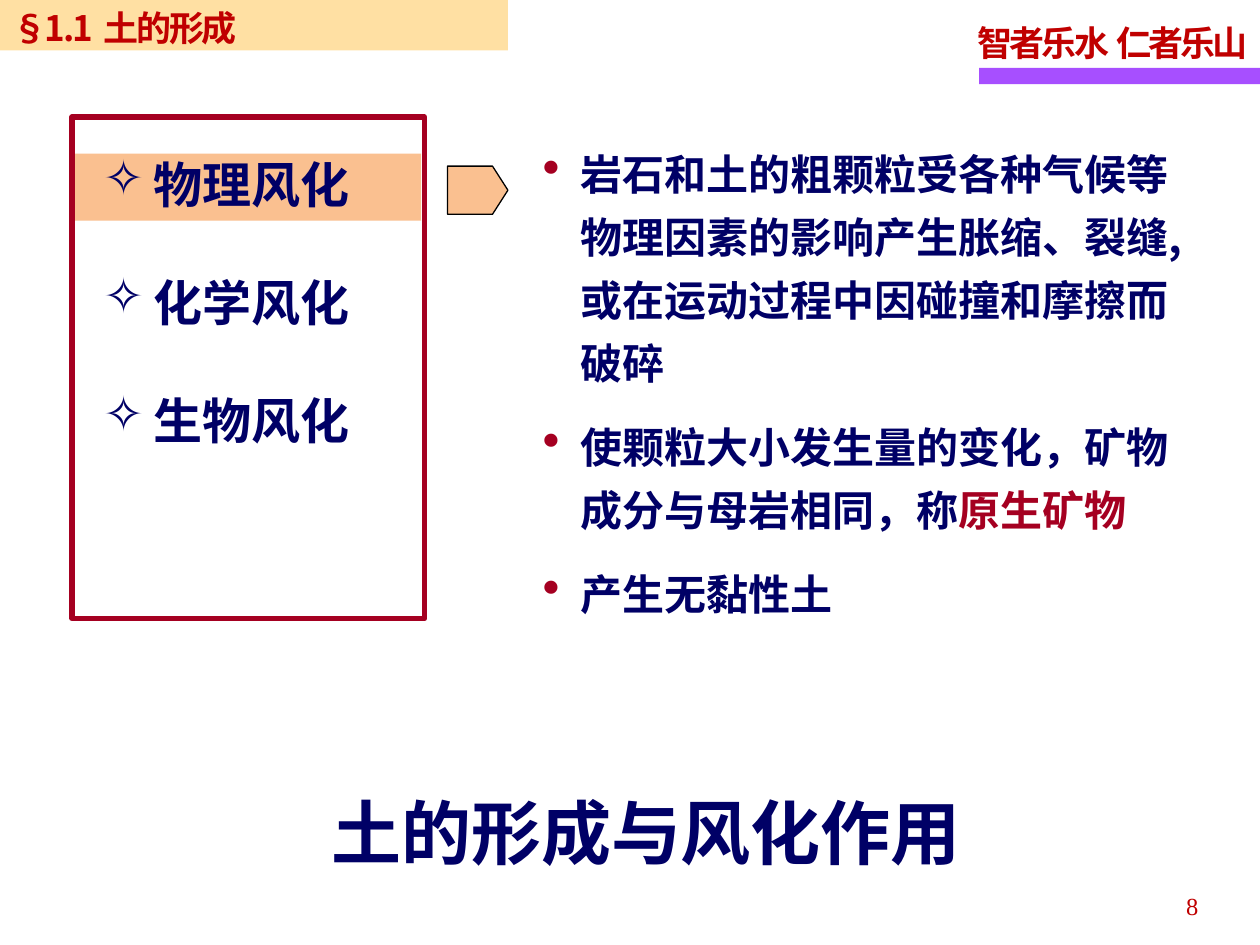
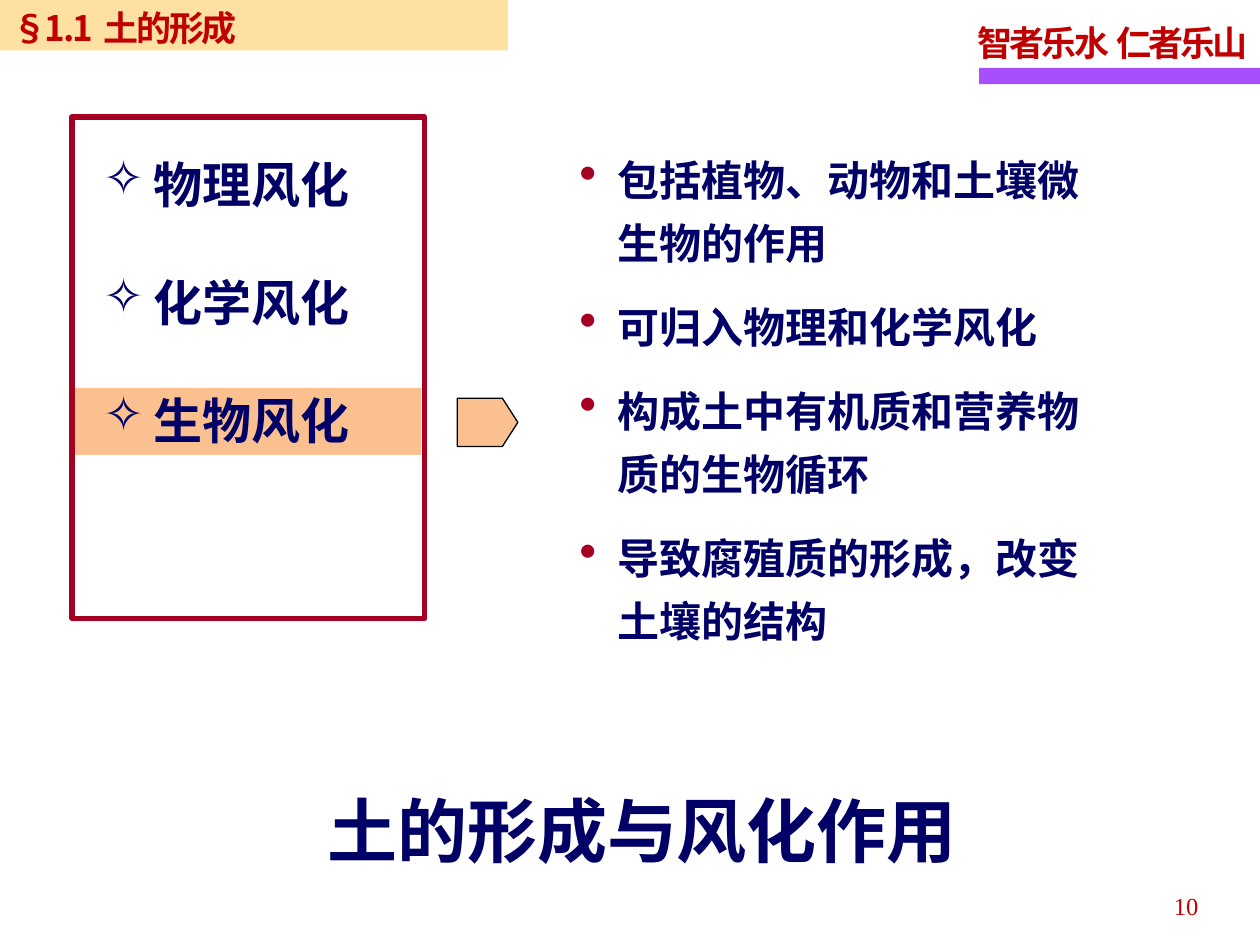
from lxml.etree import SubElement
from pptx import Presentation
from pptx.dml.color import RGBColor
from pptx.enum.shapes import MSO_SHAPE as Preset
from pptx.enum.text import MSO_ANCHOR as Anchor, PP_ALIGN as Align
from pptx.oxml.ns import qn
from pptx.util import Cm, Pt

COLORS = {
    "navy": "000066",
    "crimson": "A50021",
    "red": "C00000",
    "purple": "A74FFF",
    "peach": "FAC090",
    "amber": "FFCC66",
    "black": "000000",
}
SANS = "Noto Sans CJK SC"
SERIF = "Times New Roman"
MENU = ["物理风化", "化学风化", "生物风化"]
MENU_PITCH = 2.36
EMPHASIS = "原生矿物"


def rgb(name):
    return RGBColor.from_string(COLORS[name])


def add_block(slide, box, fill=None, line=None, width=0.75, preset=Preset.RECTANGLE):
    shape = slide.shapes.add_shape(preset, *map(Cm, box))
    shape.shadow.inherit = False
    if fill:
        shape.fill.solid()
        shape.fill.fore_color.rgb = rgb(fill)
    else:
        shape.fill.background()
    if line:
        shape.line.color.rgb = rgb(line)
        shape.line.width = Pt(width)
    else:
        shape.line.fill.background()
    return shape


def add_text_frame(slide, box, wrap=True):
    frame = slide.shapes.add_textbox(*map(Cm, box)).text_frame
    frame.word_wrap = wrap
    return frame


def style(paragraph, size, color, name=SANS, bold=True, tracking=0, leading=None):
    paragraph.line_spacing = leading
    font = paragraph.font
    font.size = Pt(size)
    font.bold = bold
    font.color.rgb = rgb(color)
    font.name = name
    properties = font._rPr
    SubElement(properties, qn("a:ea")).set("typeface", SANS)
    if tracking:
        properties.set("spc", str(round(tracking * 100)))


def add_bullet(paragraph, symbol, indent, color=None, percent=100):
    properties = paragraph._p.get_or_add_pPr()
    properties.set("marL", str(Cm(indent)))
    properties.set("indent", str(-Cm(indent)))
    if color:
        holder = SubElement(properties, qn("a:buClr"))
        SubElement(holder, qn("a:srgbClr")).set("val", COLORS[color])
    SubElement(properties, qn("a:buSzPct")).set("val", str(percent * 1000))
    SubElement(properties, qn("a:buChar")).set("char", symbol)


def add_list(slide, box, items, symbol, indent, gap, size, leading,
             name=SANS, bullet_color=None, percent=100):
    frame = add_text_frame(slide, box)
    for index, item in enumerate(items):
        paragraph = frame.add_paragraph() if index else frame.paragraphs[0]
        add_bullet(paragraph, symbol, indent, bullet_color, percent)
        paragraph.space_before = Pt(gap if index else 0)
        style(paragraph, size, "navy", name, leading=Pt(leading))
        before, emphasis, after = item.partition(EMPHASIS)
        for part in filter(None, (before, emphasis, after)):
            run = paragraph.add_run()
            run.text = part
            if part == EMPHASIS:
                run.font.color.rgb = rgb("crimson")


def add_line(frame, text, size, color, align=Align.LEFT, **options):
    paragraph = frame.paragraphs[0]
    paragraph.text = text
    paragraph.alignment = align
    style(paragraph, size, color, **options)


def add_header_and_number(slide, number):
    add_block(slide, (19.74, 1.37, 5.66, 0.33), "purple")
    motto = add_text_frame(slide, (19.46, 0.18, 5.99, 1.24), wrap=False)
    add_line(motto, "智者乐水  仁者乐山", 20, "red", name=SERIF, tracking=-1.7, leading=Pt(27.6))
    footer = add_text_frame(slide, (18.49, 17.75, 5.92, 1.02))
    add_line(footer, number, 14, "red", Align.RIGHT, name=SERIF, bold=False, leading=1.15)


def add_section_band(slide):
    band = add_block(slide, (0, 0, 10.24, 1.02), "amber")
    color = band.fill._xPr.find(qn("a:solidFill"))[0]
    SubElement(color, qn("a:alpha")).set("val", "60000")
    band.text_frame.vertical_anchor = Anchor.TOP
    add_line(band.text_frame, "§1.1  土的形成", 20, "red", tracking=-1.4, leading=Pt(24))


def add_menu(slide):
    add_block(slide, (1.45, 2.36, 7.11, 10.11), line="crimson", width=3)
    add_list(slide, (1.83, 3, 5.77, 6.25), MENU, "✧", 1.02, 33.6, 28, 33.6, name=SERIF)


def add_weathering_slide(presentation, number, active, points, body, title, arrow):
    slide = presentation.slides.add_slide(presentation.slide_layouts[6])
    add_header_and_number(slide, number)
    add_block(slide, (1.45, 3.1 + MENU_PITCH * active, 7.04, 1.35), "peach")
    add_list(slide, body, points, "•", 0.76, 12, 24, 36, bullet_color="crimson", percent=120)
    heading = add_text_frame(slide, (*title, 13.44, 1.96))
    add_line(heading, "土的形成与风化作用", 40, "navy", leading=Pt(48))
    pointer = add_block(slide, (*arrow, 1.22, 0.97), "peach", "black", preset=Preset.PENTAGON)
    pointer.adjustments[0] = 0.32
    add_section_band(slide)
    add_menu(slide)


def main():
    presentation = Presentation()
    presentation.slide_width = Cm(25.4)
    presentation.slide_height = Cm(19.05)
    add_weathering_slide(
        presentation, "8", 0,
        ["岩石和土的粗颗粒受各种气候等物理因素的影响产生胀缩、裂缝,或在运动过程中因碰撞和摩擦而破碎",
         "使颗粒大小发生量的变化，矿物成分与母岩相同，称原生矿物",
         "产生无黏性土"],
        body=(10.69, 2.62, 13.84, 10.26), title=(6.43, 15.8), arrow=(9.02, 3.35))
    add_weathering_slide(
        presentation, "10", 2,
        ["包括植物、动物和土壤微生物的作用",
         "可归入物理和化学风化",
         "构成土中有机质和营养物质的生物循环",
         "导致腐殖质的形成，改变土壤的结构"],
        body=(11.43, 2.74, 10.87, 10.77), title=(6.35, 15.75), arrow=(9.22, 8.03))
    presentation.save("out.pptx")


if __name__ == "__main__":
    main()
